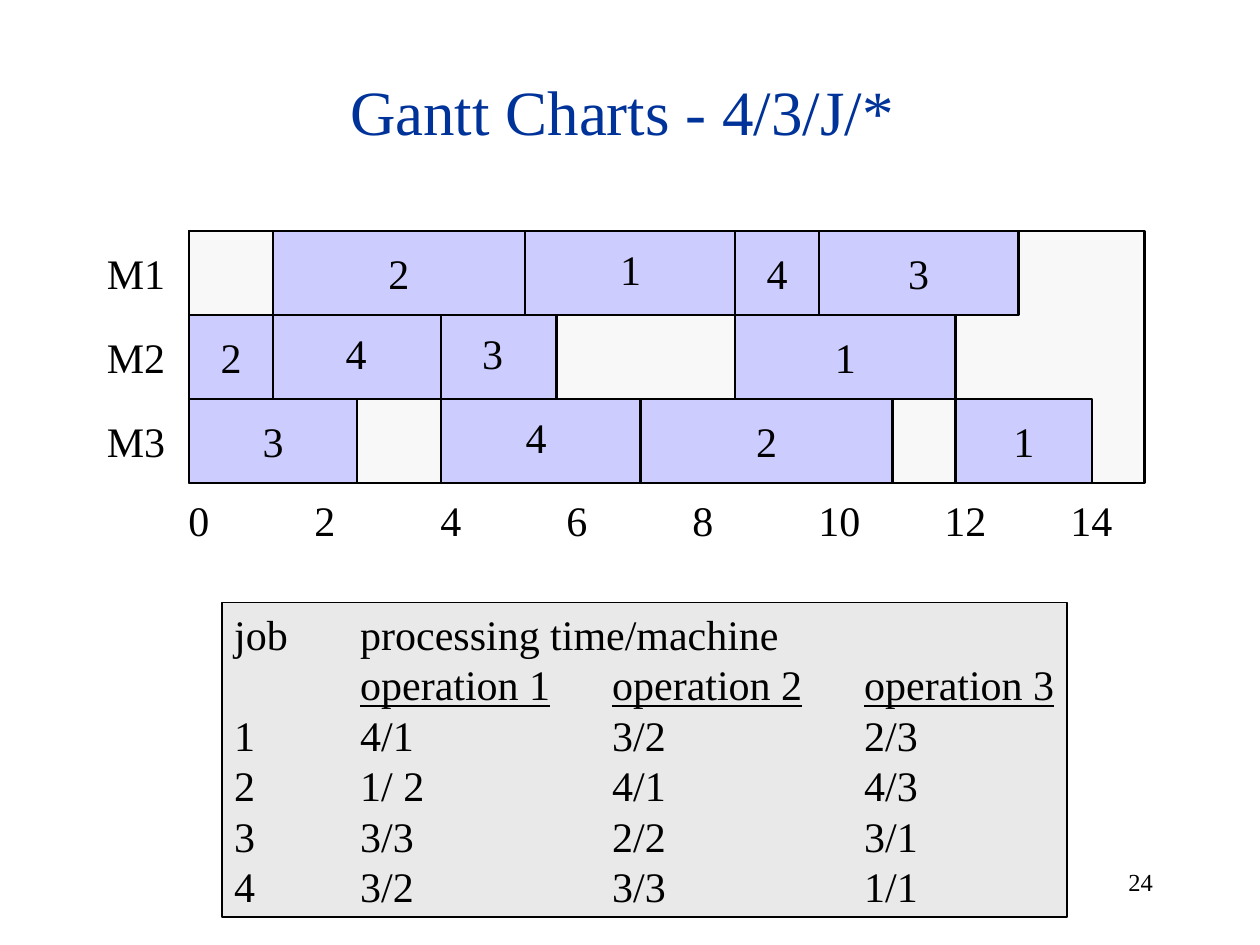
from dataclasses import dataclass
from typing import NamedTuple, Optional

from lxml.etree import SubElement
from pptx import Presentation
from pptx.dml.color import RGBColor
from pptx.enum.shapes import MSO_SHAPE
from pptx.enum.text import MSO_ANCHOR, MSO_AUTO_SIZE, PP_ALIGN
from pptx.oxml.ns import qn
from pptx.util import Emu, Inches, Pt

EMU_PER_PX = 9525


@dataclass(frozen=True)
class Theme:
    font: str = "Times New Roman"
    ink: str = "000000"
    title: str = "003399"
    idle: str = "F8F8F8"
    busy: str = "CCCCFF"
    panel: str = "E9E9E9"
    title_size: int = 36
    body_size: int = 24
    page_size: int = 14


class Area(NamedTuple):
    left: int
    top: int
    width: int
    height: int


class Span(NamedTuple):
    text: str
    underline: bool = False


class Block(NamedTuple):
    """A bar on a machine row; label_left marks a number held in its own box."""
    row: int
    start: int
    end: int
    job: str = ""
    label_left: Optional[int] = None
    color: str = Theme.busy


THEME = Theme()
CHART = Area(144, 176, 728, 192)
ROW_HEIGHT = 64
LABEL_HEIGHT = 48
MACHINE_WIDTH = 66
MACHINES = ("M1", "M2", "M3")
BLOCKS = (
    Block(0, 0, 64, color=THEME.idle),
    Block(0, 64, 256, "2"),
    Block(0, 256, 416, "1", 463),
    Block(0, 416, 480, "4"),
    Block(0, 480, 632, "3"),
    Block(1, 0, 64, "2"),
    Block(1, 64, 192, "4", 254),
    Block(1, 192, 280, "3", 358),
    Block(1, 416, 584, "1"),
    Block(2, 0, 128, "3"),
    Block(2, 192, 344, "4", 391),
    Block(2, 344, 536, "2"),
    Block(2, 584, 688, "1"),
)
JOB_TIMES = (
    ("1", "4/1", "3/2", "2/3"),
    ("2", "1/ 2", "4/1", "4/3"),
    ("3", "3/3", "2/2", "3/1"),
    ("4", "3/2", "3/3", "1/1"),
)


def px(length: int) -> Emu:
    return Emu(length * EMU_PER_PX)


def emu_area(area: Area) -> tuple:
    return tuple(px(length) for length in area)


def add_tab_stops(para) -> None:
    """Set a left tab at every inch."""
    tab_list = SubElement(para._p.get_or_add_pPr(), qn("a:tabLst"))
    for inch in range(1, 8):
        SubElement(tab_list, qn("a:tab"), pos=str(Inches(inch)), algn="l")


def write(shape, lines, *, size=THEME.body_size, color=THEME.ink, align=PP_ALIGN.LEFT,
          anchor=MSO_ANCHOR.TOP, wrap=False, grow=False, tabs=False) -> None:
    """Fill a shape with lines, each a string or a sequence of spans."""
    frame = shape.text_frame
    frame.word_wrap = wrap
    frame.vertical_anchor = anchor
    frame.auto_size = MSO_AUTO_SIZE.SHAPE_TO_FIT_TEXT if grow else MSO_AUTO_SIZE.NONE
    for index, line in enumerate(lines):
        para = frame.add_paragraph() if index else frame.paragraphs[0]
        para.alignment = align
        if tabs:
            add_tab_stops(para)
        for span in [Span(line)] if isinstance(line, str) else line:
            run = para.add_run()
            run.text = span.text
            run.font.name = THEME.font
            run.font.size = Pt(size)
            run.font.bold = False
            run.font.underline = span.underline
            run.font.color.rgb = RGBColor.from_string(color)


def add_box(page, area: Area, fill: str, line_width: float = 1.5):
    box = page.shapes.add_shape(MSO_SHAPE.RECTANGLE, *emu_area(area))
    box.shadow.inherit = False
    box.fill.solid()
    box.fill.fore_color.rgb = RGBColor.from_string(fill)
    box.line.color.rgb = RGBColor.from_string(THEME.ink)
    box.line.width = Pt(line_width)
    return box


def add_label(page, area: Area, text: str, **text_format) -> None:
    write(page.shapes.add_textbox(*emu_area(area)), [text], **text_format)


def row_top(row: int) -> int:
    return CHART.top + row * ROW_HEIGHT


def add_title(page) -> None:
    title = page.shapes.title
    title.left, title.top, title.width, title.height = emu_area(Area(72, 48, 816, 72))
    write(title, ["Gantt Charts - 4/3/J/* "], size=THEME.title_size, color=THEME.title,
          align=PP_ALIGN.CENTER, anchor=MSO_ANCHOR.MIDDLE, wrap=True)


def add_gantt_chart(page) -> None:
    add_box(page, CHART, THEME.idle)
    for block in BLOCKS:
        area = Area(CHART.left + block.start, row_top(block.row),
                    block.end - block.start, ROW_HEIGHT)
        box = add_box(page, area, block.color)
        if block.job and block.label_left is None:
            write(box, [block.job], align=PP_ALIGN.CENTER, anchor=MSO_ANCHOR.MIDDLE)
    for block in BLOCKS:
        if block.label_left is not None:
            area = Area(block.label_left, row_top(block.row) + 5, 35, LABEL_HEIGHT)
            add_label(page, area, block.job, grow=True)
    for row, machine in enumerate(MACHINES):
        area = Area(72, row_top(row) + 8, MACHINE_WIDTH, LABEL_HEIGHT)
        add_label(page, area, machine)
    hours = "\t".join(str(hour) for hour in range(0, 15, 2))
    add_label(page, Area(134, 372, 723, LABEL_HEIGHT), hours, grow=True, tabs=True)


def add_job_panel(page) -> None:
    operations = "\t".join(f"operation {number}" for number in range(1, 4))
    lines = ["job \tprocessing time/machine", [Span("\t"), Span(operations, True)]]
    lines += [job + "\t" + "\t\t".join(times) for job, *times in JOB_TIMES]
    panel = add_box(page, Area(169, 459, 644, 240), THEME.panel, line_width=1)
    write(panel, lines, grow=True, tabs=True)


def main() -> None:
    deck = Presentation()
    deck.slide_width, deck.slide_height = px(960), px(720)
    page = deck.slides.add_slide(deck.slide_layouts[5])
    add_title(page)
    add_gantt_chart(page)
    add_job_panel(page)
    add_label(page, Area(688, 656, 200, 48), "24", size=THEME.page_size,
              align=PP_ALIGN.RIGHT, wrap=True)
    deck.save("out.pptx")


if __name__ == "__main__":
    main()
